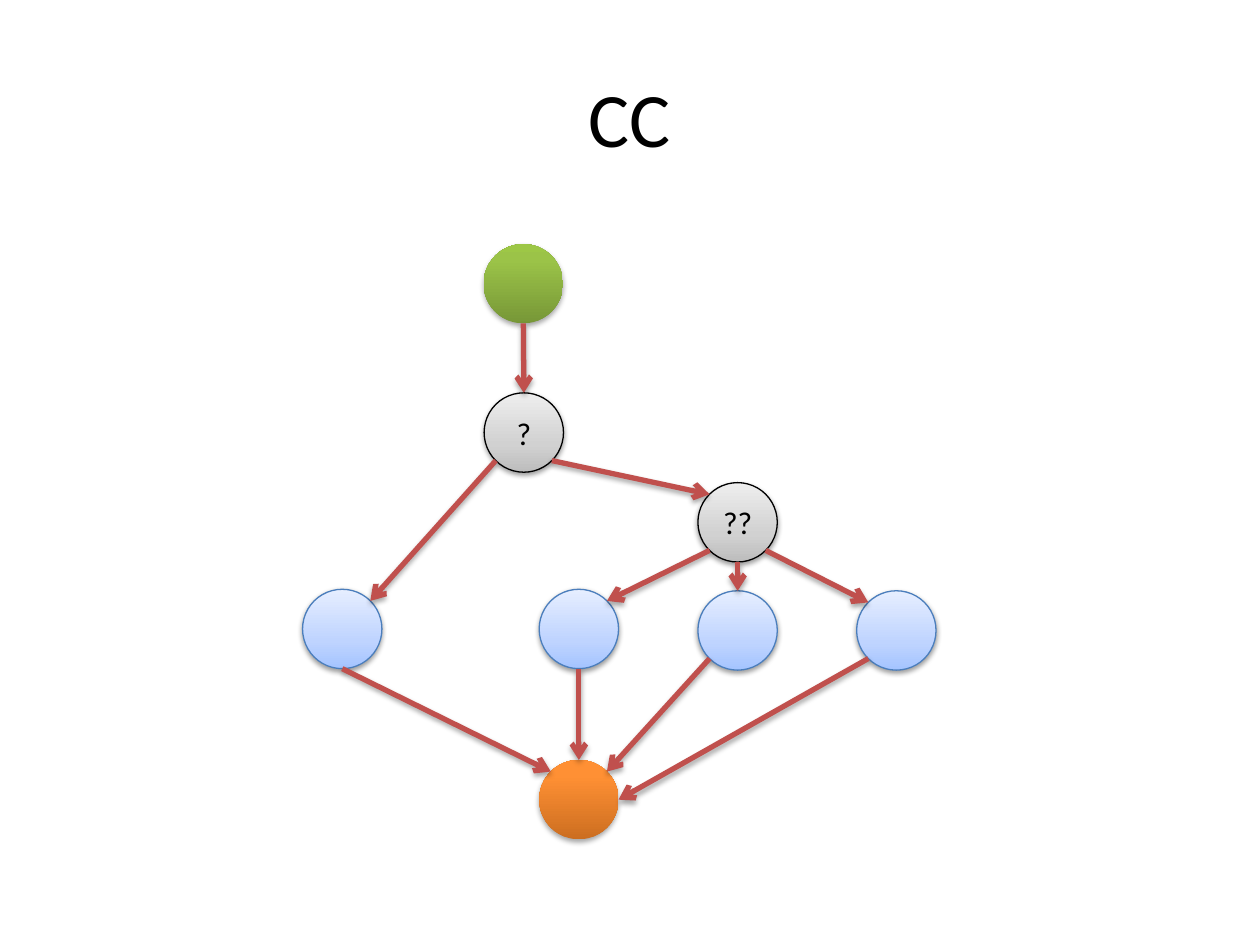
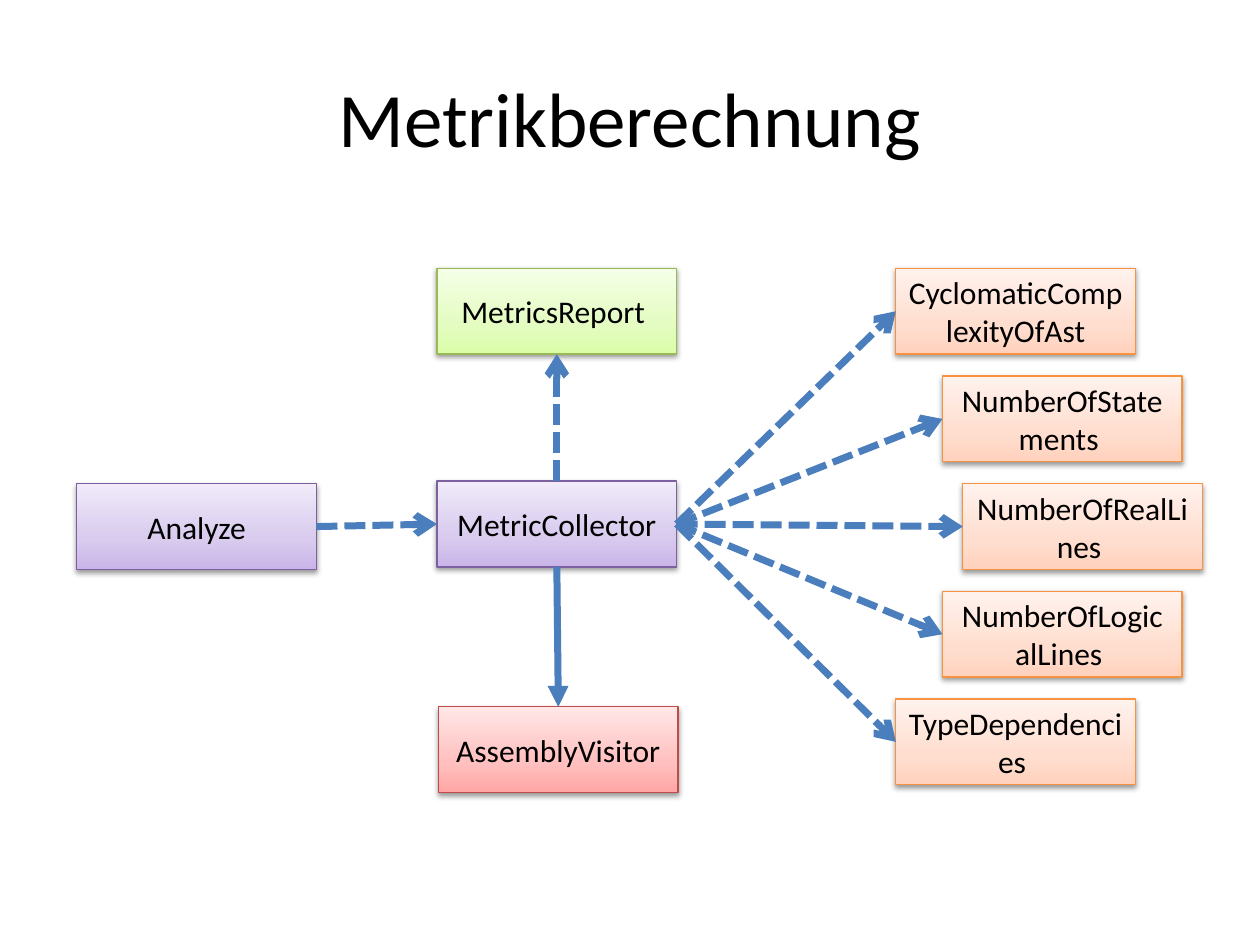
from math import cos, radians, sin

from lxml import etree
from pptx import Presentation
from pptx.dml.color import RGBColor
from pptx.enum.dml import MSO_LINE
from pptx.enum.shapes import MSO_CONNECTOR, MSO_SHAPE
from pptx.enum.text import MSO_ANCHOR, PP_ALIGN
from pptx.oxml.ns import qn
from pptx.util import Cm, Pt

OVAL, RECT = MSO_SHAPE.OVAL, MSO_SHAPE.RECTANGLE
STRAIGHT = MSO_CONNECTOR.STRAIGHT
SYS_DASH = MSO_LINE.SQUARE_DOT
CENTER, MIDDLE = PP_ALIGN.CENTER, MSO_ANCHOR.MIDDLE

FONT = "Calibri"
COLORS = {"text": "000000", "flow": "C0504D", "uses": "4B7EBC"}
SOFT, STRONG = (0, 35, 100), (0, 80, 100)
STYLES = {
    "start": (STRONG, ("779737", "9BC348", "9DC746"), None),
    "end": (STRONG, ("CC6E20", "FF9034", "FF9136"), None),
    "branch": (SOFT, ("BDBDBD", "D1D1D1", "EEEEEE"), "000000"),
    "step": (SOFT, ("A4C4FF", "BFD4FF", "E6EEFF"), "4B7EBC"),
    "visitor": (SOFT, ("FFA6A5", "FFC0BF", "FFE7E7"), "BF4C48"),
    "process": (SOFT, ("C9B5E8", "D8CBEE", "F0EAF9"), "7D60A0"),
    "metric": (SOFT, ("FFD2BD", "FFDED0", "FFF2ED"), "F69240"),
    "report": (SOFT, ("DAFDA7", "E4FCC2", "F5FFE7"), "98B955"),
}

CIRCLE = 1.6
BOX_W, BOX_H = 4.83, 1.73
OVAL_SITES = ("top", "top left", "left", "bottom left",
              "bottom", "bottom right", "right", "top right")
RECT_SITES = ("top", "left", "bottom", "right")


def rgb(value):
    return RGBColor.from_string(value)


def add_xml(parent, tag, **attrs):
    return etree.SubElement(parent, qn(tag), {k: str(v) for k, v in attrs.items()})


def add_shadow(effects, alpha, distance):
    shadow = add_xml(effects, "a:outerShdw", blurRad=Pt(3.1), dist=Pt(distance),
                     dir=5400000, rotWithShape=0)
    color = add_xml(shadow, "a:srgbClr", val="000000")
    add_xml(color, "a:alpha", val=alpha * 1000)


def set_gradient(fill, stops, colors):
    fill.gradient()
    fill.gradient_angle = 90
    gs_list = fill._xPr.find(".//" + qn("a:gsLst"))
    gs_list.clear()
    for stop, color in zip(stops, colors):
        gs = add_xml(gs_list, "a:gs", pos=stop * 1000)
        add_xml(gs, "a:srgbClr", val=color)


def add_title_slide(prs, title):
    s = prs.slides.add_slide(prs.slide_layouts[5])
    sp = s.shapes.title
    sp.left, sp.top, sp.width, sp.height = Cm(1.27), Cm(0.76), Cm(22.86), Cm(3.18)
    tf = sp.text_frame
    tf.text = title
    tf.vertical_anchor = MIDDLE
    format_paragraph(tf.paragraphs[0], 44)
    return s


def format_paragraph(p, size):
    p.alignment = CENTER
    p.font.name = FONT
    p.font.size = Pt(size)
    p.font.color.rgb = rgb(COLORS["text"])


def add_node(s, kind, style, x, y, w, h, text=""):
    stops, colors, outline = STYLES[style]
    sp = s.shapes.add_shape(kind, Cm(x), Cm(y), Cm(w), Cm(h))
    set_gradient(sp.fill, stops, colors)
    if outline:
        sp.line.color.rgb = rgb(outline)
        sp.line.width = Pt(0.75)
    else:
        sp.line.fill.background()
    sp.shadow.inherit = False
    effects = sp._element.spPr.find(qn("a:effectLst"))
    add_shadow(effects, *((38, 1.6) if outline else (35, 1.8)))
    if text:
        tf = sp.text_frame
        tf.text = text
        tf.word_wrap = True
        format_paragraph(tf.paragraphs[0], 18)
    return sp


def add_circle(s, style, x, y, text=""):
    return add_node(s, OVAL, style, x, y, CIRCLE, CIRCLE, text)


def add_box(s, style, x, y, text):
    return add_node(s, RECT, style, x, y, BOX_W, BOX_H, text)


def locate_site(sp, site):
    sites = OVAL_SITES if sp.auto_shape_type == OVAL else RECT_SITES
    index = sites.index(site)
    angle = radians(90 + 360 / len(sites) * index)
    x = sp.left + sp.width / 2 * (1 + cos(angle))
    y = sp.top + sp.height / 2 * (1 - sin(angle))
    return index, round(x), round(y)


def add_arrow(s, source, start, target, end, color, width, head="arrow", dash=None):
    i, x1, y1 = locate_site(source, start)
    j, x2, y2 = locate_site(target, end)
    c = s.shapes.add_connector(STRAIGHT, x1, y1, x2, y2)
    c.line.color.rgb = rgb(COLORS[color])
    c.line.width = Pt(width)
    if dash:
        c.line.dash_style = dash
    add_xml(c.line._get_or_add_ln(), "a:tailEnd", type=head)
    glue = c._element.find(".//" + qn("p:cNvCxnSpPr"))
    add_xml(glue, "a:stCxn", id=source.shape_id, idx=i)
    add_xml(glue, "a:endCxn", id=target.shape_id, idx=j)
    return add_xml(c._element.spPr, "a:effectLst")


def build_complexity(prs):
    s = add_title_slide(prs, "CC")
    start = add_circle(s, "start", 9.75, 4.92)
    first = add_circle(s, "branch", 9.76, 7.92, "?")
    second = add_circle(s, "branch", 14.07, 9.73, "??")
    step1, step2, step3, step4 = [
        add_circle(s, "step", x, y)
        for x, y in ((6.1, 11.88), (10.87, 11.88), (14.07, 11.91), (17.27, 11.91))
    ]
    end = add_circle(s, "end", 10.87, 15.32)
    for edge in (
        (start, "bottom", first, "top"),
        (first, "bottom left", step1, "top right"),
        (first, "bottom right", second, "top left"),
        (second, "bottom left", step2, "top right"),
        (second, "bottom", step3, "top"),
        (second, "bottom right", step4, "top left"),
        (step1, "bottom", end, "top left"),
        (step2, "bottom", end, "top"),
        (step3, "bottom left", end, "top right"),
        (step4, "bottom left", end, "right"),
    ):
        add_shadow(add_arrow(s, *edge, "flow", 3), 35, 1.8)


def build_metrics(prs):
    s = add_title_slide(prs, "Metrikberechnung")
    visitor = add_box(s, "visitor", 8.84, 14.25, "AssemblyVisitor")
    collector = add_box(s, "process", 8.81, 9.7, "MetricCollector")
    analyze = add_box(s, "process", 1.55, 9.75, "Analyze")
    report = add_box(s, "report", 8.81, 5.41, "MetricsReport ")
    metrics = [
        add_box(s, "metric", x, 5.41 + 2.17 * row, name)
        for row, (x, name) in enumerate((
            (18.06, "CyclomaticComplexityOfAst"),
            (19, "NumberOfStatements "),
            (19.41, "NumberOfRealLines "),
            (19, "NumberOfLogicalLines "),
            (18.06, "TypeDependencies "),
        ))
    ]
    add_arrow(s, collector, "bottom", visitor, "top", "uses", 4, "triangle")
    edges = [(collector, "right", metric, "left") for metric in metrics]
    edges += [(analyze, "right", collector, "left"), (collector, "top", report, "bottom")]
    for edge in edges:
        add_arrow(s, *edge, "uses", 4, dash=SYS_DASH)


def main():
    prs = Presentation()
    prs.slide_width, prs.slide_height = Cm(25.4), Cm(19.05)
    build_complexity(prs)
    build_metrics(prs)
    prs.save("out.pptx")


if __name__ == "__main__":
    main()
